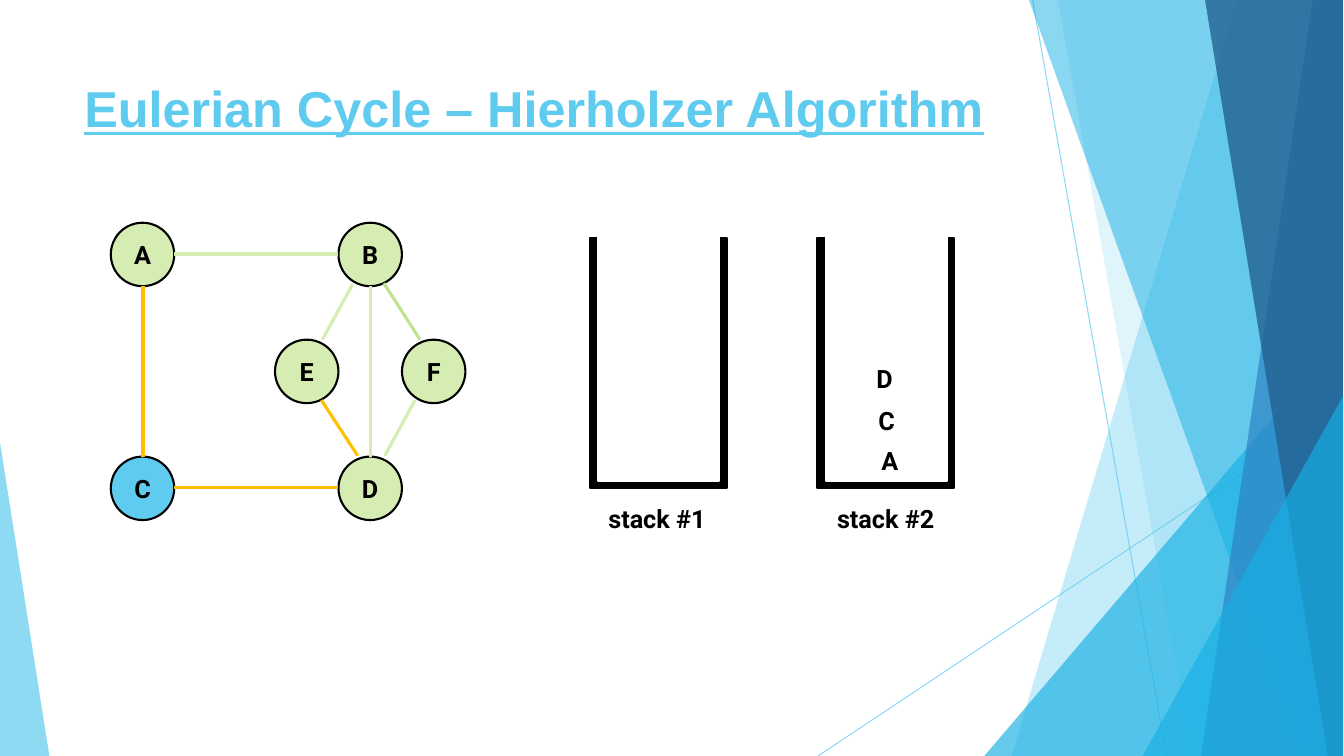
from pptx import Presentation
from pptx.dml.color import RGBColor
from pptx.enum.shapes import MSO_CONNECTOR as CONN, MSO_SHAPE as SHAPE
from pptx.enum.text import MSO_ANCHOR as ANCHOR, MSO_AUTO_SIZE as AUTO, PP_ALIGN as ALIGN
from pptx.oxml.ns import qn
from pptx.util import Pt
from lxml.etree import SubElement

PX = 9144  # 100 px to the inch
WIDTH, HEIGHT = 1334, 750

SKY = RGBColor(0x5F, 0xCB, 0xEF)
CYAN = RGBColor(0x17, 0xB0, 0xE4)
BLUE = RGBColor(0x2E, 0x83, 0xC3)
NAVY = RGBColor(0x23, 0x62, 0x92)
PALE_GREEN = RGBColor(0xD5, 0xED, 0xB3)
GREEN = RGBColor(0xC0, 0xE3, 0x8D)
AMBER = RGBColor(0xFF, 0xC0, 0x00)
BLACK = RGBColor(0, 0, 0)
WHITE = RGBColor(0xFF, 0xFF, 0xFF)

TITLE_FONT = {"name": "Arial", "size": Pt(36), "bold": True, "underline": True}
LABEL_FONT = {"name": "Roboto", "size": Pt(18), "bold": True}

# Backdrop: top left x, bottom left x, bottom right x, colour, opacity
BANDS_BACK = [(1228, 1004, 1333, SKY, 36), (1050, 1183, 1333, SKY, 20)]
BANDS_FRONT = [(1021, 1291, 1333, CYAN, 50), (1303, 1192, 1333, BLUE, 70),
               (1196, 1318, 1333, NAVY, 80)]

NODE_SIZE = 63
NODES = [("A", 110, 221, PALE_GREEN), ("B", 336, 221, PALE_GREEN),
         ("E", 273, 337, PALE_GREEN), ("F", 399, 337, PALE_GREEN),
         ("C", 110, 453, SKY), ("D", 336, 453, PALE_GREEN)]

EDGES = [(173, 252, 336, 252, PALE_GREEN),  # A-B
         (142, 284, 142, 453, AMBER),       # A-C
         (336, 484, 173, 484, AMBER),       # D-C
         (319, 397, 355, 452, AMBER),       # E-D
         (381, 281, 417, 337, GREEN),       # B-F
         (412, 397, 382, 452, PALE_GREEN),  # F-D
         (350, 282, 320, 337, PALE_GREEN),  # B-E
         (368, 453, 368, 284, PALE_GREEN)]  # D-B

STACKS = [("stack #1", 586, 594, 594), ("stack #2", 811, 820, 821)]
STACK_ITEMS = [("C", 862, 397, 36), ("A", 865, 437, 37), ("D", 860, 356, 38)]


def emu(*lengths):
    return [n * PX for n in lengths]


def set_opacity(sp, percent):
    for color in sp._element.spPr.iter(qn("a:srgbClr")):
        SubElement(color, qn("a:alpha")).set("val", str(percent * 1000))


def paint(sp, fill, line=None):
    sp.shadow.inherit = False
    sp.fill.solid()
    sp.fill.fore_color.rgb = fill
    if line is None:
        sp.line.fill.background()
    else:
        sp.line.color.rgb = line
        sp.line.width = Pt(1.5)


def write(tf, text, font, color):
    p = tf.paragraphs[0]
    r = p.add_run()
    r.text = text
    for name, value in font.items():
        setattr(r.font, name, value)
    r.font.color.rgb = color
    return p


def add_line(s, x1, y1, x2, y2, color, width=2.25):
    line = s.shapes.add_connector(CONN.STRAIGHT, *emu(x1, y1, x2, y2))
    line.line.color.rgb = color
    line.line.width = Pt(width)
    SubElement(line._element.spPr, qn("a:effectLst"))
    return line


def add_band(s, top_left, bottom_left, bottom_right, color, opacity):
    builder = s.shapes.build_freeform(*emu(top_left, -1))
    corners = [(1333, -1), (bottom_right, HEIGHT), (bottom_left, HEIGHT)]
    if bottom_right < 1333:
        corners.insert(1, (1333, HEIGHT))
    builder.add_line_segments([emu(*c) for c in corners], close=True)
    sp = builder.convert_to_shape()
    paint(sp, color)
    set_opacity(sp, opacity)


def add_triangle(s, x, y, w, apex, color, opacity):
    sp = s.shapes.add_shape(SHAPE.ISOSCELES_TRIANGLE, *emu(x, y, w, HEIGHT - y))
    sp.adjustments[0] = apex
    paint(sp, color)
    set_opacity(sp, opacity)


def add_backdrop(s):
    for ends in ((1025, 0, 1158, HEIGHT), (1333, 403, 812, HEIGHT)):
        set_opacity(add_line(s, *ends, SKY, 0.75), 70)
    for band in BANDS_BACK:
        add_band(s, *band)
    add_triangle(s, 977, 333, 356, 1, CYAN, 66)
    for band in BANDS_FRONT:
        add_band(s, *band)
    add_triangle(s, 1134, 393, 199, 1, CYAN, 66)
    add_triangle(s, 0, 439, 49, 0, SKY, 70)


def add_title(s, text):
    tf = s.shapes.add_textbox(*emu(74, 67, 940, 144)).text_frame
    tf.word_wrap = True
    tf.margin_top = 10 * PX
    write(tf, text, TITLE_FONT, SKY)


def add_node(s, name, x, y, color):
    sp = s.shapes.add_shape(SHAPE.OVAL, *emu(x, y, NODE_SIZE, NODE_SIZE))
    paint(sp, color, BLACK)
    sp.text_frame.vertical_anchor = ANCHOR.MIDDLE
    write(sp.text_frame, name, LABEL_FONT, BLACK).alignment = ALIGN.CENTER


def add_label(s, text, x, y, w):
    tf = s.shapes.add_textbox(*emu(x, y, w, 40)).text_frame
    tf.word_wrap = False
    tf.auto_size = AUTO.SHAPE_TO_FIT_TEXT
    write(tf, text, LABEL_FONT, BLACK)


def add_stack(s, name, wall_x, inside_x, label_x):
    for box, color in (((wall_x, 236, 136, 248), BLACK),
                       ((inside_x, 216, 120, 261), WHITE)):
        paint(s.shapes.add_shape(SHAPE.RECTANGLE, *emu(*box)), color, color)
    add_label(s, name, label_x, 494, 123)


def main():
    prs = Presentation()
    prs.slide_width, prs.slide_height = emu(WIDTH, HEIGHT)
    s = prs.slides.add_slide(prs.slide_layouts[6])

    add_backdrop(s)
    add_title(s, "Eulerian Cycle – Hierholzer Algorithm")

    # Graph
    for node in NODES:
        add_node(s, *node)
    for edge in EDGES:
        add_line(s, *edge)

    # Stacks
    for stack in STACKS:
        add_stack(s, *stack)
    for item in STACK_ITEMS:
        add_label(s, *item)

    prs.save("out.pptx")


if __name__ == "__main__":
    main()
